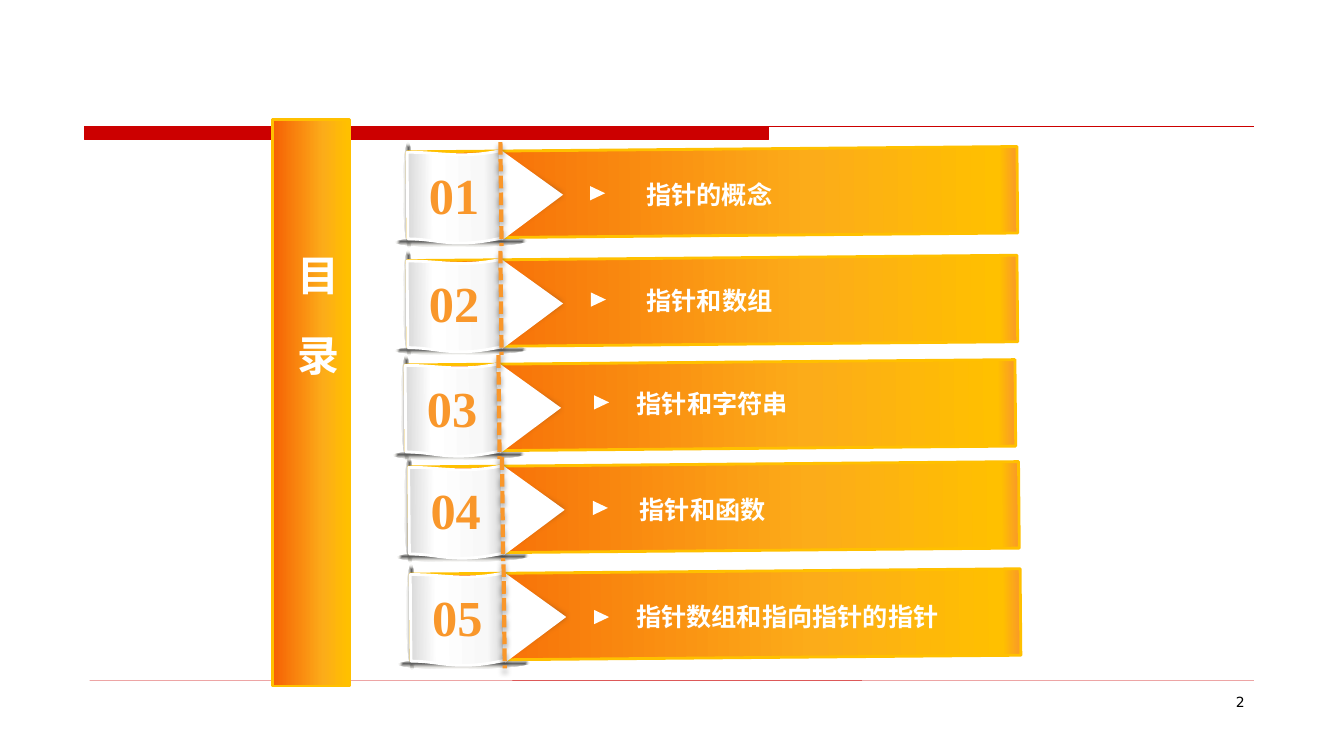
from lxml import etree
from pptx import Presentation
from pptx import util as u
from pptx.dml.color import RGBColor
from pptx.enum import dml, shapes, text
from pptx.oxml import ns

TOPICS = [
    {"label": "指针的概念", "banner": (10.27, 3.76), "marker": (14.88, 4.68), "label_box": (15.07, 4.55, 5.61, 0.89)},
    {"label": "指针和数组", "banner": (10.27, 6.5), "marker": (14.9, 7.36), "label_box": (15.08, 7.21, 5.6, 0.89)},
    {"label": "指针和字符串", "banner": (10.22, 9.13), "marker": (14.98, 9.95), "label_box": (15.15, 9.8, 5.6, 0.89)},
    {"label": "指针和函数", "banner": (10.31, 11.7), "marker": (14.95, 12.61), "label_box": (14.91, 12.49, 5.6, 0.89)},
    {"label": "指针数组和指向指针的指针", "banner": (10.35, 14.4), "marker": (14.98, 15.36), "label_box": (15.27, 15.17, 9.14, 0.89)},
]
TITLE = "目 录"
PAGE_NUMBER = "2"

RED, GOLD, ORANGE, BROWN, WHITE = "CC0000", "FFC000", "F9972B", "904E1C", "FFFFFF"
BANNER_STOPS = [(0, "F66004", 100), (66, "FCAC19", 100), (97, GOLD, 100), (100, ORANGE, 100)]
PAPER_STOPS = [(0, "D9D9D9", 100), (28, WHITE, 100), (81, "F8F8F8", 100), (100, "D7D7D7", 100)]
SHADE_STOPS = [(0, "595959", 100), (100, "EEECE1", 0)]
LINEAR = '<a:lin ang="0" scaled="0"/>'
RADIAL = '<a:path path="shape"><a:fillToRect l="50000" t="50000" r="50000" b="50000"/></a:path>'
SOFT_EDGE = '<a:softEdge rad="63500"/>'
DROP_SHADOW = ('<a:outerShdw blurRad="50800" dist="38100" dir="5400000">'
               '<a:srgbClr val="000000"><a:alpha val="40000"/></a:srgbClr></a:outerShdw>')

PANEL = {"segments": "LLL", "size": (11, 2.21),
         "points": [(0, 0), (10.92, 0), (11, 2.2), (0.02, 1.95)]}
PAPER = {"segments": "CLC", "size": (2.36, 2.31),
         "points": [(0, 0.02), (0.78, 0.01), (1.31, 0.2), (2.35, 0),
                    (2.36, 2.2), (1.11, 2.46), (0.78, 2.21), (0, 2.2)]}
FOLD = {"segments": "CC", "size": (2.18, 1.98),
        "points": [(0, 1.98), (0.38, 1.11), (0.33, 1.34), (1.1, 0),
                   (1.86, 1.41), (1.98, 1.18), (2.18, 1.98)]}

deck = Presentation()
deck.slide_width, deck.slide_height = u.Cm(33.87), u.Cm(19.05)
page = deck.slides.add_slide(deck.slide_layouts[6])


def rgb(value):
    return RGBColor.from_string(value)


def element(tag, inner):
    return etree.fromstring(f'<a:{tag} xmlns:a="{ns.nsuri("a")}">{inner}</a:{tag}>')


def add_effect(item, inner=""):
    properties = item._element.spPr
    for old in properties.findall(ns.qn("a:effectLst")):
        properties.remove(old)
    properties.append(element("effectLst", inner))


def paint(shape, fill, outline=None, weight=2, alpha=100, direction=LINEAR, effect=""):
    shape.fill.solid()
    solid = shape._element.spPr.find(ns.qn("a:solidFill"))
    if isinstance(fill, str):
        shape.fill.fore_color.rgb = rgb(fill)
        if alpha < 100:
            solid[0].append(etree.Element(ns.qn("a:alpha"), val=str(alpha * 1000)))
    else:
        stops = "".join(
            f'<a:gs pos="{place * 1000}"><a:srgbClr val="{color}"><a:alpha val="{opacity * 1000}"/></a:srgbClr></a:gs>'
            for place, color, opacity in fill)
        solid.getparent().replace(solid, element("gradFill", f"<a:gsLst>{stops}</a:gsLst>{direction}"))
    if outline:
        shape.line.color.rgb = rgb(outline)
        shape.line.width = u.Pt(weight)
    else:
        shape.line.fill.background()
    add_effect(shape, effect)


def add_preset(kind, place, fill, rotation=0, **style):
    shape = page.shapes.add_shape(kind, *map(u.Cm, place))
    shape.rotation = rotation
    paint(shape, fill, **style)


def add_outline(form, left, top, fill, rotation, **style):
    corners = [(u.Cm(x), u.Cm(y)) for x, y in form["points"]]
    builder = page.shapes.build_freeform(*corners[0])
    builder.add_line_segments(corners[1:], close=True)
    shape = builder.convert_to_shape()
    contour = next(shape._element.iter(ns.qn("a:pathLst")))[0]
    steps = iter(contour.findall(ns.qn("a:lnTo")))
    for segment in form["segments"]:
        step = next(steps)
        if segment == "C":
            step.tag = ns.qn("a:cubicBezTo")
            for control in (next(steps), next(steps)):
                step.append(control[0])
                contour.remove(control)
    shape.left, shape.top = u.Cm(left), u.Cm(top)
    shape.width, shape.height = map(u.Cm, form["size"])
    contour.set("w", str(shape.width))
    contour.set("h", str(shape.height))
    shape.rotation = rotation
    paint(shape, fill, **style)


def add_line(start, end, color, width, dash=None, effect=""):
    line = page.shapes.add_connector(shapes.MSO_CONNECTOR.STRAIGHT, *map(u.Cm, start + end))
    line.line.color.rgb = rgb(color)
    line.line.width = u.Pt(width)
    if dash:
        line.line.dash_style = dash
    add_effect(line, effect)


def add_header_bar(left, top, bar_right, right, bottom):
    left, top, bar_right, right, bottom = map(u.Cm, (left, top, bar_right, right, bottom))
    builder = page.shapes.build_freeform(left, top)
    builder.add_line_segments([(bar_right, top), (bar_right, bottom), (left, bottom)], close=True)
    builder.move_to(left, top)
    builder.add_line_segments([(right, top)], close=False)
    paint(builder.convert_to_shape(), RED, outline=RED, weight=0.75)


def add_text(words, place, size, color, align=text.PP_ALIGN.CENTER, bold=True,
             font="Times New Roman", spacing=0.8):
    box = page.shapes.add_textbox(*map(u.Cm, place))
    box.text_frame.word_wrap = True
    para = box.text_frame.paragraphs[0]
    para.text = words
    para.alignment = align
    para.line_spacing = spacing
    para.font.name, para.font.size, para.font.bold = font, u.Pt(size), bold
    para.font.color.rgb = rgb(color)
    return box


def add_topic(number, topic):
    left, top = topic["banner"]
    kinds = shapes.MSO_SHAPE
    add_outline(PANEL, left + 0.38, top + 0.03, BROWN, 359.5, alpha=43, effect=SOFT_EDGE)
    add_preset(kinds.OVAL, (left - 1.3, top + 1.02, 2.64, 0.25), SHADE_STOPS, 89.5, direction=RADIAL)
    add_preset(kinds.OVAL, (left - 0.3, top + 2.21, 3.3, 0.23), SHADE_STOPS, 359.5, direction=RADIAL)
    add_preset(kinds.RECTANGLE, (left, top, 15.37, 2.18), BANNER_STOPS, 359.5, outline=GOLD)
    add_outline(PAPER, left, top + 0.05, PAPER_STOPS, 359.5, outline=WHITE)
    add_outline(FOLD, left + 2.29, top + 0.15, BROWN, 89.5, effect=SOFT_EDGE)
    add_preset(kinds.ISOSCELES_TRIANGLE, (left + 2.01, top + 0.38, 2.27, 1.55), WHITE, 89.5)
    add_line((left + 2.34, top - 0.18), (left + 2.37, top + 2.44), ORANGE, 3,
             dml.MSO_LINE.SQUARE_DOT, DROP_SHADOW)
    add_text(f"{number:02}", (left + 0.16, top + 0.54, 2.03, 1.52), 36, ORANGE)
    add_preset(kinds.ISOSCELES_TRIANGLE, topic["marker"] + (0.36, 0.38), WHITE, 90)
    add_text(topic["label"], topic["label_box"], 18, WHITE)


add_header_bar(2.13, 3.2, 19.38, 31.6, 3.51)
add_line((2.26, 17.15), (31.6, 17.14), RED, 0.25)

for number, topic in enumerate(TOPICS, 1):
    add_topic(number, topic)

add_preset(shapes.MSO_SHAPE.RECTANGLE, (6.86, 3.02, 1.96, 14.27), BANNER_STOPS, outline=GOLD)
title = add_text(TITLE, (6.94, 6.17, 1.8, 6.43), 30, WHITE, text.PP_ALIGN.LEFT, spacing=1)
title.text_frame._txBody.bodyPr.set("vert", "eaVert")
for span in title.text_frame.paragraphs[0].runs:
    span._r.get_or_add_rPr().set("spc", "1000")

add_text(PAGE_NUMBER, (24.28, 17.35, 7.34, 1.32), 10, "000000", text.PP_ALIGN.RIGHT,
         bold=False, font="DejaVu Sans", spacing=1)

deck.save("out.pptx")
